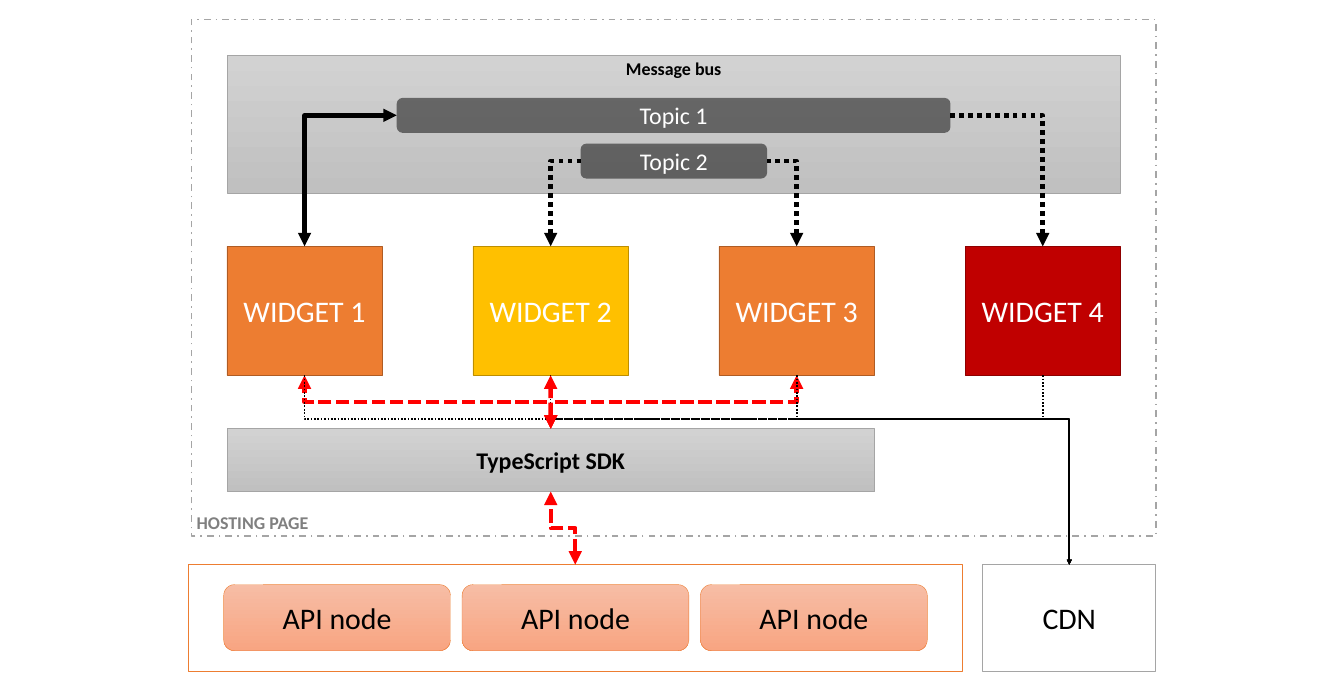
from dataclasses import dataclass
from typing import Optional

import pptx
import pptx.dml.color
import pptx.enum.dml
import pptx.enum.shapes
import pptx.enum.text
import pptx.oxml.ns
import pptx.util
from lxml import etree

Inches = pptx.util.Inches
Shape = pptx.enum.shapes.MSO_SHAPE
Connector = pptx.enum.shapes.MSO_CONNECTOR
Dash = pptx.enum.dml.MSO_LINE
Anchor = pptx.enum.text.MSO_ANCHOR
Align = pptx.enum.text.PP_ALIGN


@dataclass(frozen=True)
class Theme:
    font: str = "Calibri"
    white: str = "FFFFFF"
    black: str = "000000"
    gray: str = "A5A5A5"
    label_gray: str = "808080"
    orange: str = "ED7D31"
    orange_edge: str = "AF5C24"
    gold: str = "FFC000"
    gold_edge: str = "BD8E00"
    crimson: str = "C00000"
    crimson_edge: str = "8E0000"
    red: str = "FF0000"
    gray_gradient: tuple[str, str] = ("D2D2D2", "C0C0C0")
    peach_gradient: tuple[str, str] = ("F7BDA5", "F8A582")
    large: int = 40
    medium: int = 32
    small: int = 24


THEME = Theme()


@dataclass(frozen=True)
class Box:
    left: float
    top: float
    width: float
    height: float
    fill: str | tuple[str, str]
    edge: Optional[str] = None
    edge_width: float = 1
    dash: Optional[Dash] = None
    text: str = ""
    size: int = THEME.large
    color: str = THEME.black
    bold: bool = False
    anchor: Anchor = Anchor.MIDDLE
    align: Align = Align.CENTER
    kind: Shape = Shape.RECTANGLE
    alpha: Optional[int] = None

    @property
    def center(self) -> float:
        return self.left + self.width / 2

    @property
    def middle(self) -> float:
        return self.top + self.height / 2

    @property
    def right(self) -> float:
        return self.left + self.width

    @property
    def bottom(self) -> float:
        return self.top + self.height


@dataclass(frozen=True)
class Stroke:
    color: str
    width: float
    dash: Optional[Dash] = None
    head: bool = False
    tail: bool = False


@dataclass(frozen=True)
class Route:
    start: tuple[float, float]
    end: tuple[float, float]
    stroke: Stroke
    preset: str = "bentConnector3"
    bend: float = 0.5


def rgb(value: str) -> pptx.dml.color.RGBColor:
    return pptx.dml.color.RGBColor.from_string(value)


def add_element(parent, tag: str, **attributes: str):
    return etree.SubElement(parent, pptx.oxml.ns.qn(tag), **attributes)


def draw_box(shapes, box: Box):
    shape = shapes.add_shape(box.kind, *map(Inches, (box.left, box.top, box.width, box.height)))
    shape.shadow.inherit = False
    if isinstance(box.fill, tuple):
        shape.fill.gradient()
        shape.fill.gradient_angle = 270
        for stop, color in zip(shape.fill.gradient_stops, box.fill):
            stop.color.rgb = rgb(color)
    else:
        shape.fill.solid()
        shape.fill.fore_color.rgb = rgb(box.fill)
    if box.alpha is not None:
        color_element = shape.element.spPr.find(".//" + pptx.oxml.ns.qn("a:srgbClr"))
        add_element(color_element, "a:alpha", val=str(box.alpha * 1000))
    if box.edge:
        shape.line.color.rgb = rgb(box.edge)
        shape.line.width = pptx.util.Pt(box.edge_width)
        if box.dash:
            shape.line.dash_style = box.dash
    else:
        shape.line.fill.background()
    if box.text:
        shape.text_frame.word_wrap = True
        shape.text_frame.vertical_anchor = box.anchor
        paragraph = shape.text_frame.paragraphs[0]
        paragraph.alignment = box.align
        run = paragraph.add_run()
        run.text = box.text
        run.font.name = THEME.font
        run.font.size = pptx.util.Pt(box.size)
        run.font.bold = box.bold
        run.font.color.rgb = rgb(box.color)
    return shape


def style_connector(connector, stroke: Stroke) -> None:
    connector.line.color.rgb = rgb(stroke.color)
    connector.line.width = pptx.util.Pt(stroke.width)
    if stroke.dash:
        connector.line.dash_style = stroke.dash
    line = connector.line._get_or_add_ln()
    for tag, shown in (("a:headEnd", stroke.head), ("a:tailEnd", stroke.tail)):
        if shown:
            add_element(line, tag, type="triangle")
    add_element(connector._element.spPr, "a:effectLst")


def draw_route(shapes, route: Route) -> None:
    (x1, y1), (x2, y2) = route.start, route.end
    center, middle = (x1 + x2) / 2, (y1 + y2) / 2
    turn = 1 if (x2 > x1) == (y2 < y1) else -1
    along, across = turn * (y2 - y1) / 2, turn * (x1 - x2) / 2
    corners = (center - along, middle - across, center + along, middle + across)
    connector = shapes.add_connector(Connector.ELBOW, *map(Inches, corners))
    properties = connector._element.spPr
    properties.find(pptx.oxml.ns.qn("a:xfrm")).set("rot", str(turn % 4 * 5400000))
    geometry = properties.find(pptx.oxml.ns.qn("a:prstGeom"))
    geometry.set("prst", route.preset)
    if route.bend != 0.5:
        adjustments = geometry.find(pptx.oxml.ns.qn("a:avLst"))
        add_element(adjustments, "a:gd", name="adj1", fmla=f"val {round(route.bend * 100000)}")
    style_connector(connector, route.stroke)


def main() -> None:
    presentation = pptx.Presentation()
    presentation.slide_width = Inches(25)
    presentation.slide_height = Inches(12.83)
    slide = presentation.slides.add_slide(presentation.slide_layouts[6])
    shapes = slide.shapes

    api_area = Box(3.5, 10.5, 14.4, 1.98, THEME.white, THEME.orange)
    api_nodes = [Box(4.16 + 4.435 * index, 10.87, 4.22, 1.23, THEME.peach_gradient, THEME.orange, 0.5,
                     text="API node", kind=Shape.ROUNDED_RECTANGLE) for index in range(3)]
    cdn = Box(18.28, 10.5, 3.22, 1.98, THEME.white, THEME.gray, text="CDN")
    hosting_page = Box(3.56, 0.36, 17.94, 9.61, THEME.white, THEME.gray, 2.25, Dash.DASH_DOT,
                       "HOSTING PAGE", THEME.small, THEME.label_gray, True, Anchor.BOTTOM, Align.LEFT)
    widget_colors = [(THEME.orange, THEME.orange_edge), (THEME.gold, THEME.gold_edge),
                     (THEME.orange, THEME.orange_edge), (THEME.crimson, THEME.crimson_edge)]
    widgets = [Box(4.22 + 4.577 * index, 4.58, 2.89, 2.4, fill, edge,
                   text=f"WIDGET {index + 1}", color=THEME.white)
               for index, (fill, edge) in enumerate(widget_colors)]
    message_bus = Box(4.22, 1.03, 16.62, 2.56, THEME.gray_gradient, THEME.gray, 0.5,
                      text="Message bus", size=THEME.small, bold=True, anchor=Anchor.TOP)
    topics = [Box(left, top, width, 0.65, THEME.black, text=f"Topic {number}", size=THEME.medium,
                  color=THEME.white, kind=Shape.ROUNDED_RECTANGLE, alpha=50)
              for number, left, top, width in ((1, 7.38, 1.82, 10.3), (2, 10.8, 2.67, 3.47))]
    sdk = Box(4.22, 7.97, 12.05, 1.17, THEME.gray_gradient, THEME.gray, 0.5,
              text="TypeScript SDK", size=THEME.medium, bold=True)

    platform = shapes.add_group_shape()
    for box in (api_area, *api_nodes, cdn):
        draw_box(platform.shapes, box)
    draw_box(shapes, hosting_page)
    widget_shapes = [draw_box(shapes, widget) for widget in widgets]
    for box in (message_bus, *topics):
        draw_box(shapes, box)
    sdk_shape = draw_box(shapes, sdk)

    publish = Stroke(THEME.black, 6, head=True, tail=True)
    subscribe = Stroke(THEME.black, 6, Dash.ROUND_DOT, head=True)
    request = Stroke(THEME.red, 6, Dash.SQUARE_DOT, head=True, tail=True)
    download = Stroke(THEME.black, 2.25, Dash.ROUND_DOT, tail=True)

    topic_links = [(widgets[0], topics[0].left, topics[0], publish),
                   (widgets[3], topics[0].right, topics[0], subscribe),
                   (widgets[2], topics[1].right, topics[1], subscribe),
                   (widgets[1], topics[1].left, topics[1], subscribe)]
    routes = [Route((widget.center, widget.top), (side, topic.middle), stroke, "bentConnector2")
              for widget, side, topic, stroke in topic_links]
    routes += [Route((sdk.center, sdk.top), (widget.center, widget.bottom), request)
               for widget in (widgets[2], widgets[0])]
    routes.append(Route((api_area.center, api_area.top), (sdk.center, sdk.bottom), request))
    routes += [Route((widget.center, widget.bottom), (cdn.center, cdn.top), download, bend=0.232)
               for widget in reversed(widgets)]
    for route in routes:
        draw_route(shapes, route)

    sdk_link = shapes.add_connector(Connector.STRAIGHT, 0, 0, 0, 0)
    sdk_link.begin_connect(sdk_shape, 0)
    sdk_link.end_connect(widget_shapes[1], 2)
    style_connector(sdk_link, request)

    presentation.save("out.pptx")


if __name__ == "__main__":
    main()
